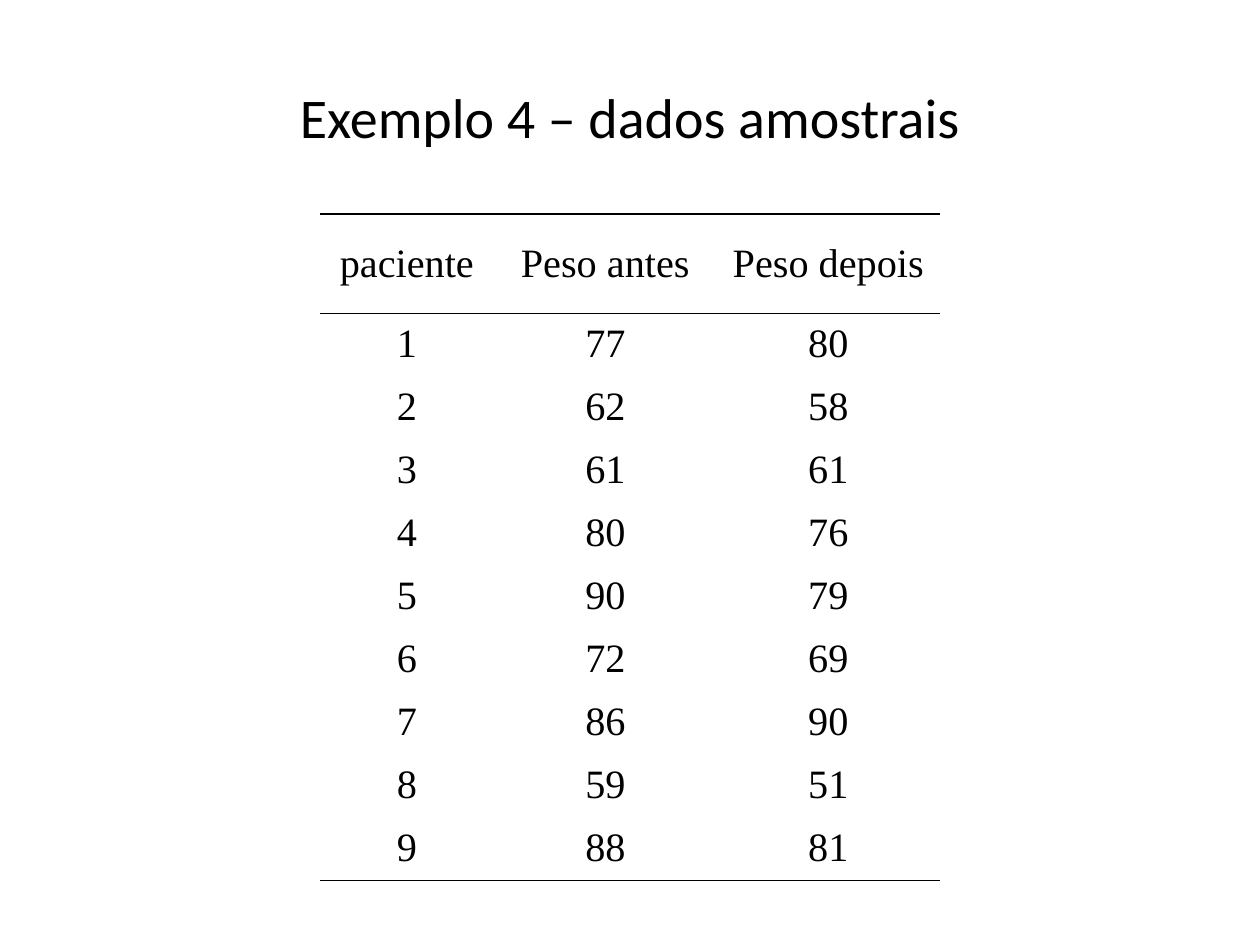
from lxml import etree
from pptx import Presentation
from pptx.dml.color import RGBColor
from pptx.enum.text import MSO_ANCHOR, PP_ALIGN
from pptx.oxml.ns import qn
from pptx.util import Inches, Pt

BLACK = RGBColor(0, 0, 0)
CENTER = PP_ALIGN.CENTER
MIDDLE, TOP = MSO_ANCHOR.MIDDLE, MSO_ANCHOR.TOP
TITLE_FONT = {"name": "Calibri", "size": Pt(32), "bold": False}
TABLE_FONT = {"name": "Times New Roman", "size": Pt(23), "bold": False}
CELL_MARGINS = {
    "margin_left": Inches(0.11),
    "margin_right": Inches(0.11),
    "margin_top": Inches(0.06),
    "margin_bottom": Inches(0.06),
}

HEADERS = ("paciente", "Peso antes", "Peso depois")
WEIGHTS = [
    (77, 80), (62, 58), (61, 61), (80, 76), (90, 79),
    (72, 69), (86, 90), (59, 51), (88, 81),
]
COLUMN_WIDTHS = (1.38, 1.77, 1.77)
HEADER_HEIGHT, ROW_HEIGHT = 0.79, 0.5


def format_paragraph(paragraph, font_values):
    paragraph.alignment = CENTER
    for name, value in font_values.items():
        setattr(paragraph.font, name, value)
    paragraph.font.color.rgb = BLACK


def set_borders(cell, ruled_sides):
    """Rule the given sides (from "L", "R", "T", "B") and clear the others."""
    properties = cell._tc.get_or_add_tcPr()
    for side in "LRTB":
        line = etree.SubElement(properties, qn(f"a:ln{side}"), w=str(Pt(1)))
        if side in ruled_sides:
            fill = etree.SubElement(line, qn("a:solidFill"))
            etree.SubElement(fill, qn("a:srgbClr"), val=str(BLACK))
        else:
            etree.SubElement(line, qn("a:noFill"))


presentation = Presentation()
presentation.slide_width = Inches(10)
presentation.slide_height = Inches(7.5)
slide = presentation.slides.add_slide(presentation.slide_layouts[5])

# Title
title = slide.shapes.title
title.left, title.top = Inches(0.5), Inches(0.3)
title.width, title.height = Inches(9), Inches(1.25)
title.text_frame.text = "Exemplo 4 – dados amostrais"
title.text_frame.vertical_anchor = MIDDLE
format_paragraph(title.text_frame.paragraphs[0], TITLE_FONT)

# Table of weights before and after
rows = [HEADERS] + [
    (patient, before, after)
    for patient, (before, after) in enumerate(WEIGHTS, start=1)
]
table = slide.shapes.add_table(
    len(rows), len(HEADERS), Inches(2.54), Inches(1.7),
    Inches(sum(COLUMN_WIDTHS)),
    Inches(HEADER_HEIGHT + ROW_HEIGHT * len(WEIGHTS)),
).table
table.first_row = False
table.horz_banding = False

for column, width in zip(table.columns, COLUMN_WIDTHS):
    column.width = Inches(width)

ruled_sides = {0: "TB", 1: "T", len(rows) - 1: "B"}
for row_index, values in enumerate(rows):
    is_header = row_index == 0
    table.rows[row_index].height = Inches(HEADER_HEIGHT if is_header else ROW_HEIGHT)
    for column_index, value in enumerate(values):
        cell = table.cell(row_index, column_index)
        cell.text = str(value)
        cell.vertical_anchor = MIDDLE if is_header else TOP
        for name, margin in CELL_MARGINS.items():
            setattr(cell, name, margin)
        format_paragraph(cell.text_frame.paragraphs[0], TABLE_FONT)
        set_borders(cell, ruled_sides.get(row_index, ""))
        cell.fill.background()

presentation.save("out.pptx")
